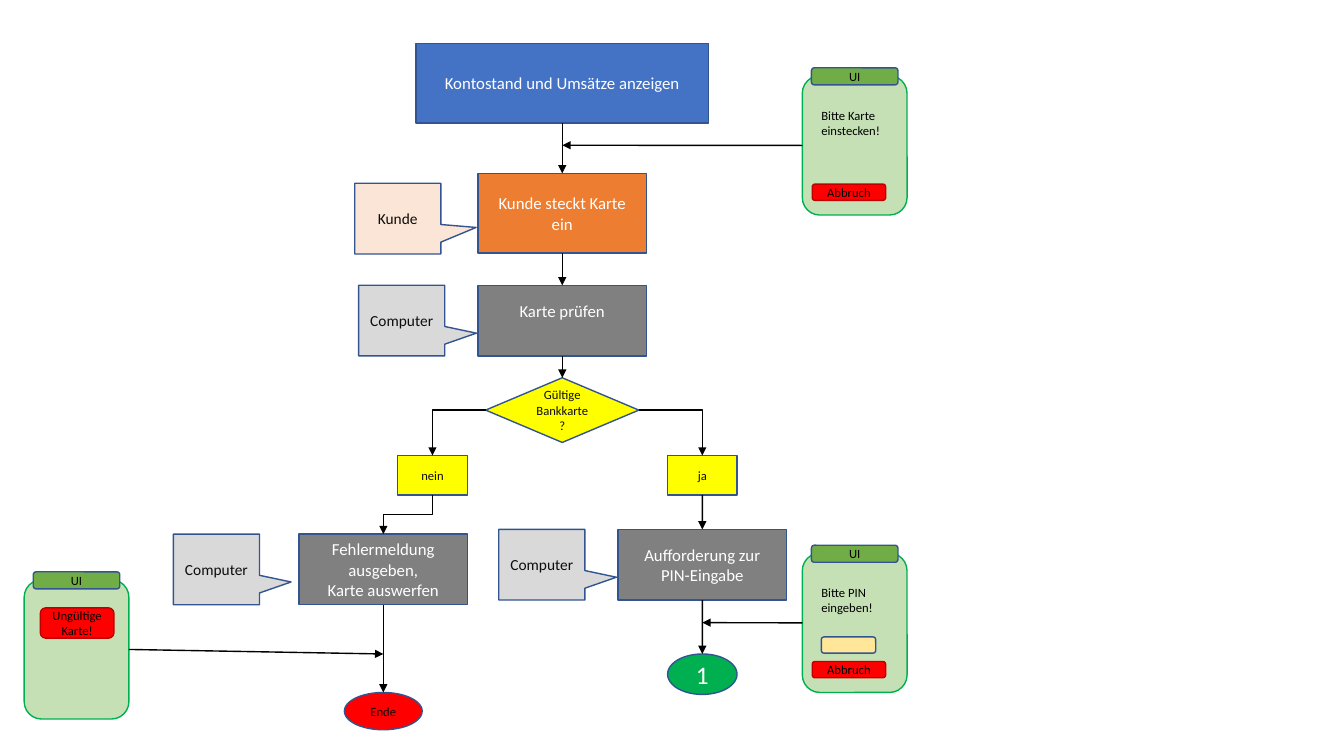
from pptx import Presentation, util as u
from pptx.dml.color import RGBColor
from pptx.enum import shapes, text
from pptx.oxml.ns import qn
from lxml import etree

Cm, Pt = u.Cm, u.Pt
FORM, LINK = shapes.MSO_SHAPE, shapes.MSO_CONNECTOR
BOX, STEP = FORM.RECTANGLE, FORM.FLOWCHART_PROCESS
TEST, OVAL = FORM.FLOWCHART_DECISION, FORM.OVAL
NOTE, ROUND = FORM.RECTANGULAR_CALLOUT, FORM.ROUNDED_RECTANGLE

BLUE = RGBColor(0x44, 0x72, 0xC4)
NAVY = RGBColor(0x32, 0x54, 0x91)
ORANGE = RGBColor(0xED, 0x7D, 0x31)
PEACH = RGBColor(0xFB, 0xE5, 0xD6)
GREY = RGBColor(0x80, 0x80, 0x80)
PALE = RGBColor(0xD9, 0xD9, 0xD9)
YELLOW = RGBColor(0xFF, 0xFF, 0x00)
SAND = RGBColor(0xFF, 0xE6, 0x99)
RED = RGBColor(0xFF, 0x00, 0x00)
MAROON = RGBColor(0xC0, 0x00, 0x00)
GREEN = RGBColor(0x00, 0xB0, 0x50)
LEAF = RGBColor(0x70, 0xAD, 0x47)
MINT = RGBColor(0xC5, 0xE0, 0xB4)
INK = RGBColor(0x0D, 0x0D, 0x0D)
BLACK = RGBColor(0, 0, 0)
WHITE = RGBColor(255, 255, 255)

MAIN, NO, YES, FAIL = 14.17, 10.9, 17.7, 9.66
TOP, LEFT, BOTTOM, RIGHT = range(4)

NODES = {
    "show": (BOX, MAIN, 1.09, 7.37, 2.01, BLUE, "Kontostand und Umsätze anzeigen", 12, WHITE),
    "card": (STEP, MAIN, 4.37, 4.24, 2.01, ORANGE, "Kunde steckt Karte ein", 12, WHITE),
    "check": (STEP, MAIN, 7.19, 4.24, 1.78, GREY, "Karte prüfen", 12, WHITE),
    "valid": (TEST, MAIN, 9.52, 3.86, 1.63, YELLOW, "Gültige Bankkarte?", 9, INK),
    "no": (STEP, NO, 11.48, 1.75, 0.99, YELLOW, "nein", 9, INK),
    "yes": (STEP, YES, 11.48, 1.75, 0.99, YELLOW, "ja", 9, INK),
    "fail": (STEP, FAIL, 13.46, 4.24, 1.78, GREY,
             "Fehlermeldung ausgeben,\nKarte auswerfen", 12, WHITE),
    "pin": (STEP, YES, 13.34, 4.24, 1.78, GREY, "Aufforderung zur PIN-Eingabe", 12, WHITE),
    "end": (OVAL, FAIL, 17.45, 1.96, 0.94, RED, "Ende", 9, INK),
    "next": (OVAL, YES, 16.48, 1.75, 1.02, GREEN, "1", 18, WHITE),
}
DOWN = [("show", "card"), ("card", "check"), ("check", "valid"),
        ("yes", "pin"), ("pin", "next"), ("fail", "end")]
BENDS = [("valid", LEFT, "no"), ("valid", RIGHT, "yes"), ("no", BOTTOM, "fail")]
ROLES = [
    ("Kunde", 8.94, 4.62, PEACH, (0.91, 0.125)),
    ("Computer", 9.04, 7.19, PALE, (0.867, 0.178)),
    ("Computer", 4.37, 13.46, PALE, (0.867, 0.178)),
    ("Computer", 12.57, 13.34, PALE, (0.867, 0.178)),
]
TAB = ("UI", 0.23, -0.2, 2.18, 0.43, LEAF, NAVY)
STOP = ("Abbruch", 0.25, 2.73, 1.85, 0.41, RED, MAROON)
FIELD = ("", 0.48, 2.11, 1.37, 0.41, SAND, NAVY)
ERROR = ("Ungültige Karte!", 0.41, 0.71, 1.85, 0.76, RED, MAROON)
PHONES = [
    (20.22, 1.91, "Bitte Karte einstecken!", [TAB, STOP], LEFT, (MAIN, 3.66)),
    (20.22, 13.94, "Bitte PIN eingeben!", [TAB, STOP, FIELD], LEFT, (YES, 15.69)),
    (0.61, 14.61, "", [TAB, ERROR], RIGHT, (FAIL, 16.48)),
]

deck = Presentation()
deck.slide_width, deck.slide_height = Cm(33.87), Cm(19.05)
page = deck.slides.add_slide(deck.slide_layouts[6]).shapes


def write(item, words, size=9, color=BLACK, align=text.PP_ALIGN.CENTER,
          anchor=text.MSO_ANCHOR.MIDDLE):
    frame = item.text_frame
    frame.word_wrap = True
    frame.vertical_anchor = anchor
    frame.text = words
    for para in frame.paragraphs:
        para.alignment = align
        para.font.name = "Calibri"
        para.font.size = Pt(size)
        para.font.color.rgb = color


def draw(form, x, y, w, h, fill, edge=NAVY):
    item = page.add_shape(form, Cm(x), Cm(y), Cm(w), Cm(h))
    item.shadow.inherit = False
    item.fill.solid()
    item.fill.fore_color.rgb = fill
    item.line.color.rgb = edge
    item.line.width = Pt(1)
    return item


def join(start, side, end=None, point=(0, 0), kind=LINK.STRAIGHT):
    wire = page.add_connector(kind, 0, 0, Cm(point[0]), Cm(point[1]))
    wire.begin_connect(start, side)
    if end is not None:
        wire.end_connect(end, TOP)
    wire.line.color.rgb = BLACK
    wire.line.width = Pt(1)
    etree.SubElement(wire.line._get_or_add_ln(), qn("a:tailEnd"), type="triangle")
    etree.SubElement(wire._element.spPr, qn("a:effectLst"))
    return wire


def bend(start, side, end):
    wire = join(start, side, end, kind=LINK.ELBOW)
    props = wire._element.spPr
    if side != BOTTOM:
        props.find(qn("a:prstGeom")).set("prst", "bentConnector2")
        return
    x, y, w, h = wire.left, wire.top, wire.width, wire.height
    wire.left, wire.top = x + (w - h) // 2, y + (h - w) // 2
    wire.width, wire.height = h, w
    frame = props.find(qn("a:xfrm"))
    frame.attrib.pop("flipH", None)
    frame.set("rot", "5400000")


nodes = {}
for name, (form, mid, y, w, h, fill, words, size, color) in NODES.items():
    nodes[name] = draw(form, mid - w / 2, y, w, h, fill)
    write(nodes[name], words, size=size, color=color)
nodes["check"].text_frame.margin_bottom = Cm(0.64)

for label, x, y, fill, tip in ROLES:
    role = draw(NOTE, x, y, 2.17, 1.78, fill)
    role.adjustments[0], role.adjustments[1] = tip
    write(role, label, size=11, color=INK)

for start, end in DOWN:
    join(nodes[start], BOTTOM, nodes[end])
for start, side, end in BENDS:
    bend(nodes[start], side, nodes[end])

for x, y, prompt, parts, side, point in PHONES:
    phone = draw(ROUND, x, y, 2.64, 3.51, MINT, edge=GREEN)
    if prompt:
        box = page.add_textbox(Cm(x + 0.23), Cm(y + 0.68), Cm(2.18), Cm(1.02))
        write(box, prompt, align=text.PP_ALIGN.LEFT, anchor=text.MSO_ANCHOR.TOP)
    for label, dx, dy, w, h, fill, edge in parts:
        part = draw(ROUND, x + dx, y + dy, w, h, fill, edge=edge)
        if label:
            write(part, label)
    join(phone, side, point=point)

deck.save("out.pptx")
